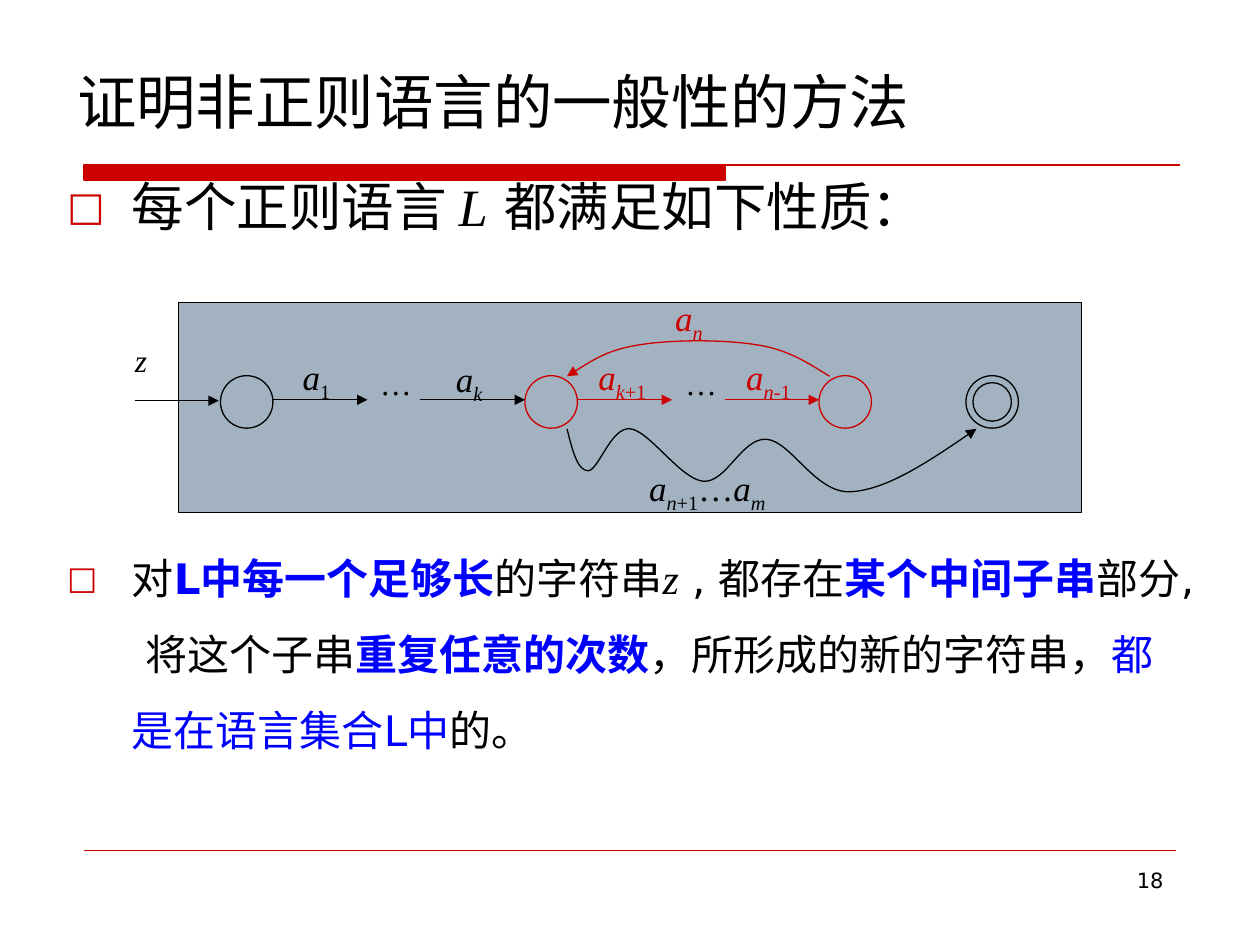
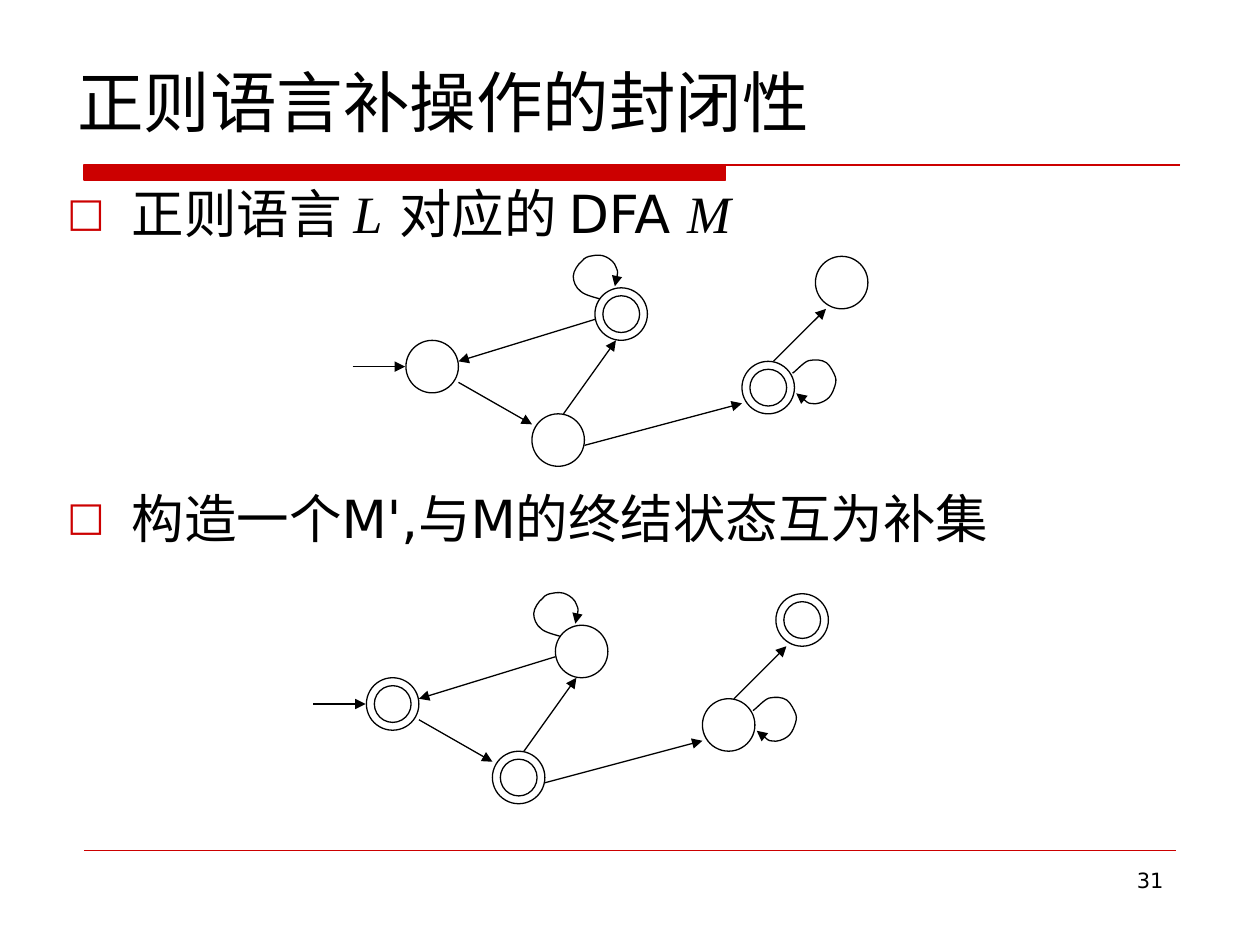
from lxml.etree import SubElement
from pptx import Presentation
from pptx.dml.color import RGBColor
from pptx.enum.shapes import MSO_CONNECTOR, MSO_SHAPE
from pptx.enum.text import MSO_ANCHOR, MSO_AUTO_SIZE, PP_ALIGN
from pptx.oxml.ns import qn
from pptx.util import Pt

SANS, SERIF = "DejaVu Sans", "Times New Roman"
BLACK, RED, BLUE, GREY = "000000", "CC0000", "0000FF", "A3B2C1"
NODE = 30
INDENT = 37

# Automaton states, moves between them and self-loops, from the diagram's corner
STATES = [(30, 48), (138, 18), (102, 90), (222, 60), (264, 0)]
MOVES = [
    (-0.5, 63, 29.5, 63), (60, 72, 102, 96), (120, 90, 150, 48),
    (132, 108, 222, 84), (138, 36, 60, 60), (240, 60, 270, 30),
]
LOOPS = [
    [(140.7, 24.3), (138.6, 23.6), (132.1, 22.2), (129.9, 20),
     (127, 17.9), (125.6, 14.3), (125.6, 11.4),
     (125.6, 8.5), (128.5, 4.2), (130.6, 2.7),
     (132.1, 0.6), (134.2, 0), (136.4, -0.3),
     (138.6, -0.9), (142.2, -0.9), (144.3, 0.3),
     (146.5, 1.3), (149.4, 3.5), (150.1, 6.3),
     (151.5, 9.2), (150.1, 15), (149.4, 17.1)],
    [(250.9, 66.8), (253, 65.4), (257.4, 60.3), (260.2, 59.6),
     (263.8, 58.9), (267.4, 58.9), (270.3, 60.8),
     (272.5, 62.5), (274.6, 66.8), (275.4, 69),
     (276.1, 71.1), (275.4, 73.3), (274.6, 75.5),
     (273.9, 77.6), (272.5, 80.5), (270.3, 81.9),
     (268.2, 83.4), (264.6, 84.8), (261.7, 84.1),
     (259.5, 84.1), (255.2, 79.8), (253, 78.3)],
]

# Pumping diagram, from the corner of its grey panel
BACK = [(372, 42), (360, 34.5), (348, 26.5), (330, 24), (312, 21), (282, 21),
        (264, 24), (246, 26.5), (234, 34.5), (222, 42)]
WAVE = [(222, 72), (225, 84), (228, 96), (234, 96), (240, 96), (247, 71),
        (258, 72), (269, 73), (287, 101), (300, 102), (313, 103), (322, 77),
        (336, 78), (350, 79), (364, 109), (384, 108), (404, 107), (430, 90),
        (456, 72)]
LABELS = [
    (-32, 18.5, 24, 18, BLACK, ["z"]),
    (63.8, 26.6, 32.4, 20, BLACK, ["a", "_1"]),
    (108.2, 31.5, 29.5, 18, BLACK, ["…"]),
    (151.4, 27.7, 32.4, 20, BLACK, ["a", "_k"]),
    (232.8, 26.6, 45.4, 20, RED, ["a", "_k", "_+1"]),
    (282.5, 31.5, 29.5, 18, BLACK, ["…"]),
    (317.3, 26.6, 43.2, 20, RED, ["a", "_n", "_-1"]),
    (276.7, -7.2, 33, 20, RED, ["a", "_n"]),
    (261.8, 90, 85, 20, BLACK, ["a", "_n", "_+1", "…", "a", "_m"]),
]


def rgb(tone):
    return RGBColor.from_string(tone)


def style(font, size, tone=BLACK, name=SANS):
    font.size, font.name = Pt(size), name
    font.color.rgb = rgb(tone)


def stroke(line, tone, width=0.75, arrow=False):
    line.color.rgb = rgb(tone)
    line.width = Pt(width)
    if arrow:
        SubElement(line._get_or_add_ln(), qn("a:tailEnd"), type="triangle")


def paint(item, fill, tone, arrow=False):
    item.shadow.inherit = False
    if fill:
        item.fill.solid()
        item.fill.fore_color.rgb = rgb(fill)
    else:
        item.fill.background()
    stroke(item.line, tone, arrow=arrow)


def shape(slide, kind, x, y, w, h, fill=None, tone=BLACK):
    item = slide.shapes.add_shape(kind, Pt(x), Pt(y), Pt(w), Pt(h))
    paint(item, fill, tone)


def state(slide, x, y, tone=BLACK, final=False, inner=21):
    shape(slide, MSO_SHAPE.OVAL, x, y, NODE, NODE, tone=tone)
    if final:
        gap = (NODE - inner) / 2
        shape(slide, MSO_SHAPE.OVAL, x + gap, y + gap, inner, inner)


def rule(slide, x1, y1, x2, y2, tone=BLACK, width=0.75, arrow=True):
    item = slide.shapes.add_connector(
        MSO_CONNECTOR.STRAIGHT, Pt(x1), Pt(y1), Pt(x2), Pt(y2))
    stroke(item.line, tone, width, arrow)
    SubElement(item._element.spPr, qn("a:effectLst"))


def curve(slide, x, y, knots, tone=BLACK):
    """Draw an arrow along cubic Bezier knots, offset by x and y."""
    dots = [(Pt(x + a), Pt(y + b)) for a, b in knots]
    pen = slide.shapes.build_freeform(*dots[0])
    pen.add_line_segments(dots[1:], close=False)
    item = pen.convert_to_shape()
    route = next(item._element.iter(qn("a:path")))
    legs = route.findall(qn("a:lnTo"))
    for i in range(0, len(legs), 3):
        bend = SubElement(route, qn("a:cubicBezTo"))
        for leg in legs[i:i + 3]:
            bend.append(leg[0])
            route.remove(leg)
    paint(item, None, tone, arrow=True)


def band(slide, x, y, wide, high, full):
    """Draw a solid bar whose top edge runs on as a thin line."""
    pen = slide.shapes.build_freeform(Pt(x), Pt(y))
    pen.add_line_segments(
        [(Pt(x + wide), Pt(y)), (Pt(x + wide), Pt(y + high)),
         (Pt(x), Pt(y + high))], close=True)
    pen.move_to(Pt(x), Pt(y))
    pen.add_line_segments([(Pt(x + full), Pt(y))], close=False)
    paint(pen.convert_to_shape(), RED, RED)


def text(slide, x, y, w, h, wrap=True):
    frame = slide.shapes.add_textbox(Pt(x), Pt(y), Pt(w), Pt(h)).text_frame
    frame.word_wrap = wrap
    return frame


def label(slide, x, y, w, size, tone, marks):
    """Write a symbol: letters slant, and a leading _ makes a subscript."""
    frame = text(slide, x, y, w, 34.5 if size == 20 else 29, wrap=False)
    frame.auto_size = MSO_AUTO_SIZE.SHAPE_TO_FIT_TEXT
    para = frame.paragraphs[0]
    style(para.font, size, tone, SERIF)
    for mark in marks:
        run = para.add_run()
        run.text = mark.lstrip("_")
        run.font.italic = run.text.isalpha()
        if mark.startswith("_"):
            run._r.get_or_add_rPr().set("baseline", "-25000")


def bullet(para, size, runs):
    """Fill a bulleted line; modes are i symbol, b bold blue, c blue."""
    props = para._p.get_or_add_pPr()
    props.set("marL", str(Pt(INDENT)))
    props.set("indent", str(-Pt(INDENT)))
    SubElement(SubElement(props, qn("a:buClr")), qn("a:srgbClr"), val=RED)
    SubElement(props, qn("a:buSzPct"), val="76000")
    SubElement(props, qn("a:buFont"), typeface=SANS)
    SubElement(props, qn("a:buChar"), char="□")
    style(para.font, size)
    for words, mode in runs:
        run = para.add_run()
        run.text = words
        if mode == "i":
            run.font.name, run.font.italic = SERIF, True
        elif mode:
            run.font.color.rgb = rgb(BLUE)
            run.font.bold = mode == "b"


def body(slide, h, first, second, gap, size=30):
    frame = text(slide, 31.2, 100, 658, h)
    bullet(frame.paragraphs[0], 30, first)
    last = frame.add_paragraph()
    bullet(last, size, second)
    last.space_before = Pt(gap)
    return frame.paragraphs


def base(deck, title, size, number):
    """Add a slide with its title, red band, foot rule and number."""
    slide = deck.slides.add_slide(deck.slide_layouts[6])
    band(slide, 48, 94.3, 366.5, 8.5, 626.5)
    rule(slide, 48, 486, 672, 486, RED, 0.25, False)
    foot = text(slide, 516, 492, 156, 37.5).paragraphs[0]
    foot.text, foot.alignment = number, PP_ALIGN.RIGHT
    style(foot.font, 12)
    head = text(slide, 37, 31.7, 658, 52)
    head.vertical_anchor = MSO_ANCHOR.MIDDLE
    head.text = title
    style(head.paragraphs[0].font, size)
    return slide


def pump(slide, x, y):
    shape(slide, MSO_SHAPE.RECTANGLE, x, y, 516, 120, GREY)
    for left, tone in [(24, BLACK), (198, RED), (366, RED), (450, BLACK)]:
        state(slide, x + left, y + 41.7, tone, left == 450, 22)
    rule(slide, x - 25, y + 56, x + 23, y + 56)
    for start, end, tone in [(54, 108, BLACK), (138, 198, BLACK),
                             (228, 282, RED), (312, 366, RED)]:
        rule(slide, x + start, y + 55.5, x + end, y + 55.5, tone)
    curve(slide, x, y, BACK, RED)
    curve(slide, x, y, WAVE)
    for left, top, *rest in LABELS:
        label(slide, x + left, y + top, *rest)


def machine(slide, x, y, finals):
    for i, (left, top) in enumerate(STATES):
        state(slide, x + left, y + top, final=i in finals)
    for x1, y1, x2, y2 in MOVES:
        rule(slide, x + x1, y + y1, x + x2, y + y2)
    for loop in LOOPS:
        curve(slide, x, y, loop)


def main():
    deck = Presentation()
    deck.slide_width, deck.slide_height = Pt(720), Pt(540)

    slide = base(deck, "证明非正则语言的一般性的方法", 34, "18")
    top, low = body(
        slide, 402.5,
        [("每个正则语言 ", ""), ("L", "i"), (" 都满足如下性质：", "")],
        [("对", ""), ("L中每一个足够长", "b"), ("的字符串", ""), ("z", "i"),
         (" , 都存在", ""), ("某个中间子串", "b"), ("部分, 将这个子串", ""),
         ("重复任意的次数", "b"), ("，所形成的新的字符串，", ""),
         ("都是在语言集合L中", "c"), ("的。", "")],
        165.6, 24)
    top.line_spacing, low.line_spacing = 0.9, 1.5
    pump(slide, 102, 173)

    slide = base(deck, "正则语言补操作的封闭性", 38, "31")
    body(slide, 266.5,
         [("正则语言 ", ""), ("L", "i"), (" 对应的 DFA ", ""), ("M", "i")],
         [("构造一个M',与M的终结状态互为补集", "")], 138)
    machine(slide, 202, 146.5, {1, 3})
    machine(slide, 179.4, 339.3, {0, 2, 4})

    deck.save("out.pptx")


if __name__ == "__main__":
    main()
